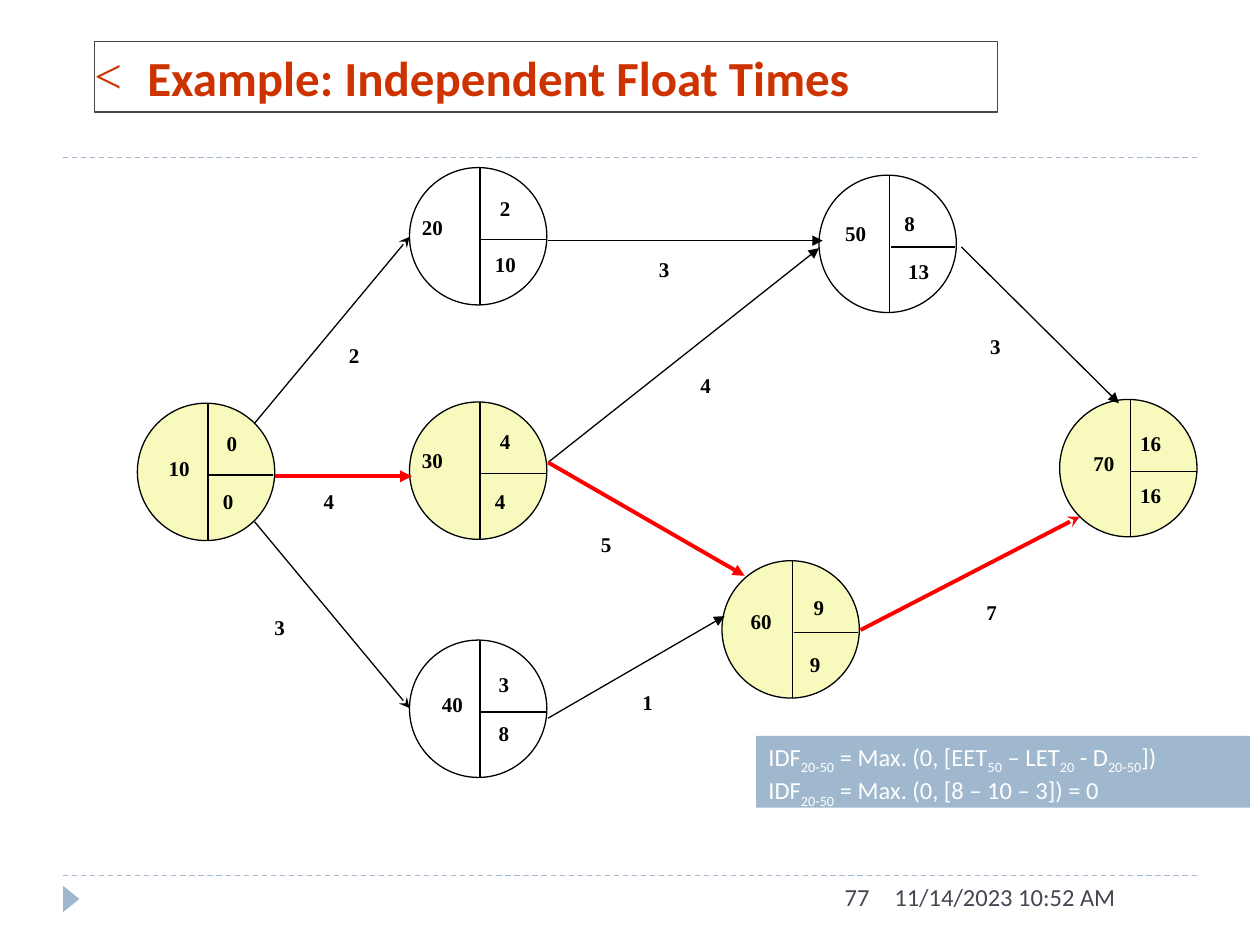
"""Build a slide with an activity network and its independent float."""
from lxml import etree
from pptx import Presentation
from pptx.dml.color import RGBColor
from pptx.enum.dml import MSO_LINE
from pptx.enum.shapes import MSO_CONNECTOR, MSO_SHAPE
from pptx.enum.text import MSO_ANCHOR, PP_ALIGN
from pptx.oxml.ns import qn
from pptx.util import Inches, Pt

LINE, DASH = MSO_CONNECTOR.STRAIGHT, MSO_LINE.DASH
RECT, OVAL, WEDGE = MSO_SHAPE.RECTANGLE, MSO_SHAPE.OVAL, MSO_SHAPE.ISOSCELES_TRIANGLE
TOP, MIDDLE = MSO_ANCHOR.TOP, MSO_ANCHOR.MIDDLE
LEFT, RIGHT, EVEN = PP_ALIGN.LEFT, PP_ALIGN.RIGHT, PP_ALIGN.JUSTIFY

HUES = {"ink": "000000", "paper": "FFFFFF", "slate": "464653", "blue": "9FB8CD",
        "title": "CC3300", "hot": "FF0000", "cream": "F8F9BD"}
FONTS = {
    "node": {"name": "Times New Roman", "size": Pt(12), "bold": True},
    "title": {"name": "Calibri", "size": Pt(28), "bold": True},
    "body": {"name": "Calibri", "size": Pt(14), "bold": False},
}

TITLE = "Example: Independent Float Times"
FOOTER = [("11/14/2023 10:52 AM", 7, 2.5, LEFT), ("77", 3.17, 3.83, RIGHT)]
RULES = [1.25, 6.95]
FORMULA = [
    [("IDF", 0), ("20-50", 1), (" = Max. (0, [EET", 0), ("50", 1), (" – LET", 0),
     ("20", 1), (" - D", 0), ("20-50", 1), ("])", 0)],
    [("IDF", 0), ("20-50", 1), (" = Max. (0, [8 – 10 – 3]) = 0", 0)],
]
NODES = [
    (3.25, 1.33, "paper", [("20", 3.25, 1.65), ("2", 3.87, 1.5), ("10", 3.83, 1.95)]),
    (1.09, 3.2, "cream", [("10", 1.24, 3.57), ("0", 1.7, 3.37), ("0", 1.67, 3.83)]),
    (3.25, 3.19, "cream", [("30", 3.25, 3.5), ("4", 3.87, 3.35), ("4", 3.83, 3.83)]),
    (6.5, 1.39, "paper", [("50", 6.61, 1.7), ("8", 7.08, 1.62), ("13", 7.11, 2)]),
    (3.25, 5.08, "paper", [("40", 3.41, 5.44), ("3", 3.86, 5.28), ("8", 3.86, 5.67)]),
    (5.73, 4.45, "cream", [("60", 5.86, 4.78), ("9", 6.36, 4.67), ("9", 6.33, 5.12)]),
    (8.41, 3.17, "cream", [("70", 8.58, 3.53), ("16", 8.95, 3.37), ("16", 8.95, 3.78)]),
]
ARROWS = [
    (2.18, 3.78, 3.27, 3.78, "hot", "triangle"),
    (4.35, 5.7, 5.75, 4.89, "ink", "triangle"),
    (4.35, 3.67, 6.5, 1.97, "ink", "triangle"),
    (4.35, 1.91, 6.53, 1.91, "ink", "triangle"),
    (4.35, 3.67, 5.91, 4.57, "hot", "triangle"),
    (7.63, 1.96, 8.88, 3.2, "ink", "triangle"),
    (6.83, 5, 8.57, 4.1, "hot", "stealth"),
    (2.02, 3.36, 3.25, 1.88, "ink", "stealth"),
    (2.02, 4.14, 3.25, 5.62, "ink", "stealth"),
]
TIMES = [
    ("2", 2.67, 2.67, 0.4, 0.31), ("3", 2.08, 4.83, 0.35, 0.32),
    ("3", 5.13, 1.99, 0.29, 0.26), ("4", 2.47, 3.83, 0.36, 0.31),
    ("3", 7.76, 2.6, 0.41, 0.31), ("1", 5, 5.42, 0.33, 0.34),
    ("5", 4.67, 4.17, 0.35, 0.26), ("4", 5.46, 2.91, 0.37, 0.34),
    ("7", 7.73, 4.71, 0.35, 0.29),
]
SIZE, MID, HALF = 1.09, 0.56, 0.57


def tint(hue):
    return RGBColor.from_string(HUES[hue])


def add_line(slide, ends, hue="ink", width=0.75, head=None, dash=None):
    line = slide.shapes.add_connector(LINE, *map(Inches, ends))
    line.line.color.rgb = tint(hue)
    line.line.width = Pt(width)
    if dash:
        line.line.dash_style = dash
    if head:
        etree.SubElement(line.line._get_or_add_ln(), qn("a:tailEnd"), type=head)
    etree.SubElement(line._element.spPr, qn("a:effectLst"))


def add_shape(slide, kind, box, fill, edge=None):
    shape = slide.shapes.add_shape(kind, *map(Inches, box))
    shape.shadow.inherit = False
    shape.fill.solid()
    shape.fill.fore_color.rgb = tint(fill)
    if edge:
        shape.line.color.rgb = tint(edge)
        shape.line.width = Pt(0.75)
    else:
        shape.line.fill.background()
    return shape


def style(font, look, hue):
    for key, value in FONTS[look].items():
        setattr(font, key, value)
    font.color.rgb = tint(hue)


def put_text(shape, rows, look, hue, align=EVEN, anchor=TOP, inset=(0.1, 0.05)):
    frame = shape.text_frame
    frame.word_wrap = True
    frame.vertical_anchor = anchor
    frame.margin_left = frame.margin_right = Inches(inset[0])
    frame.margin_top = frame.margin_bottom = Inches(inset[1])
    for i, row in enumerate(rows):
        para = frame.add_paragraph() if i else frame.paragraphs[0]
        para.alignment = align
        for text, sub in row:
            run = para.add_run()
            run.text = text
            style(run.font, look, hue)
            if sub:
                run._r.get_or_add_rPr().set("baseline", "-25000")
    return frame


def add_text(slide, text, box, look="node", hue="ink", align=EVEN):
    put_text(slide.shapes.add_textbox(*map(Inches, box)), [[(text, 0)]], look, hue, align)


def add_title(slide):
    shape = add_shape(slide, RECT, (0.75, 0.33, 7.17, 0.56), "paper", "slate")
    frame = put_text(shape, [[(TITLE, 0)]], "title", "title", LEFT, MIDDLE, (0, 0))
    props = frame.paragraphs[0]._p.get_or_add_pPr()
    props.set("marL", str(Inches(0.42)))
    props.set("indent", str(-Inches(0.42)))
    color = etree.SubElement(props, qn("a:buClr"))
    etree.SubElement(color, qn("a:srgbClr"), val=HUES["title"])
    etree.SubElement(props, qn("a:buFont"), typeface="Times New Roman")
    etree.SubElement(props, qn("a:buChar"), char="<")


def add_node(slide, x, y, fill, marks):
    add_shape(slide, OVAL, (x, y, SIZE, SIZE), fill, "ink")
    add_line(slide, (x + MID, y, x + MID, y + SIZE))
    add_line(slide, (x + HALF, y + HALF, x + SIZE - 0.01, y + HALF))
    for text, left, top in marks:
        add_text(slide, text, (left, top, 0.47, 0.4))


def main():
    deck = Presentation()
    deck.slide_width, deck.slide_height = Inches(10), Inches(7.5)
    slide = deck.slides.add_slide(deck.slide_layouts[6])
    for y in RULES:
        add_line(slide, (0.5, y, 9.5, y), "blue", dash=DASH)
    add_shape(slide, WEDGE, (0.46, 7.07, 0.21, 0.13), "blue").rotation = 90
    for text, x, width, align in FOOTER:
        add_text(slide, text, (x, 6.95, width, 0.4), "body", "slate", align)
    add_title(slide)
    note = add_shape(slide, RECT, (6, 5.84, 3.92, 0.57), "blue")
    put_text(note, FORMULA, "body", "paper")
    for node in NODES:
        add_node(slide, *node)
    for *ends, hue, head in ARROWS:
        add_line(slide, ends, hue, 2.25 if hue == "hot" else 0.75, head)
    for text, *box in TIMES:
        put_text(add_shape(slide, RECT, box, "paper"), [[(text, 0)]], "node", "ink")
    deck.save("out.pptx")


if __name__ == "__main__":
    main()
